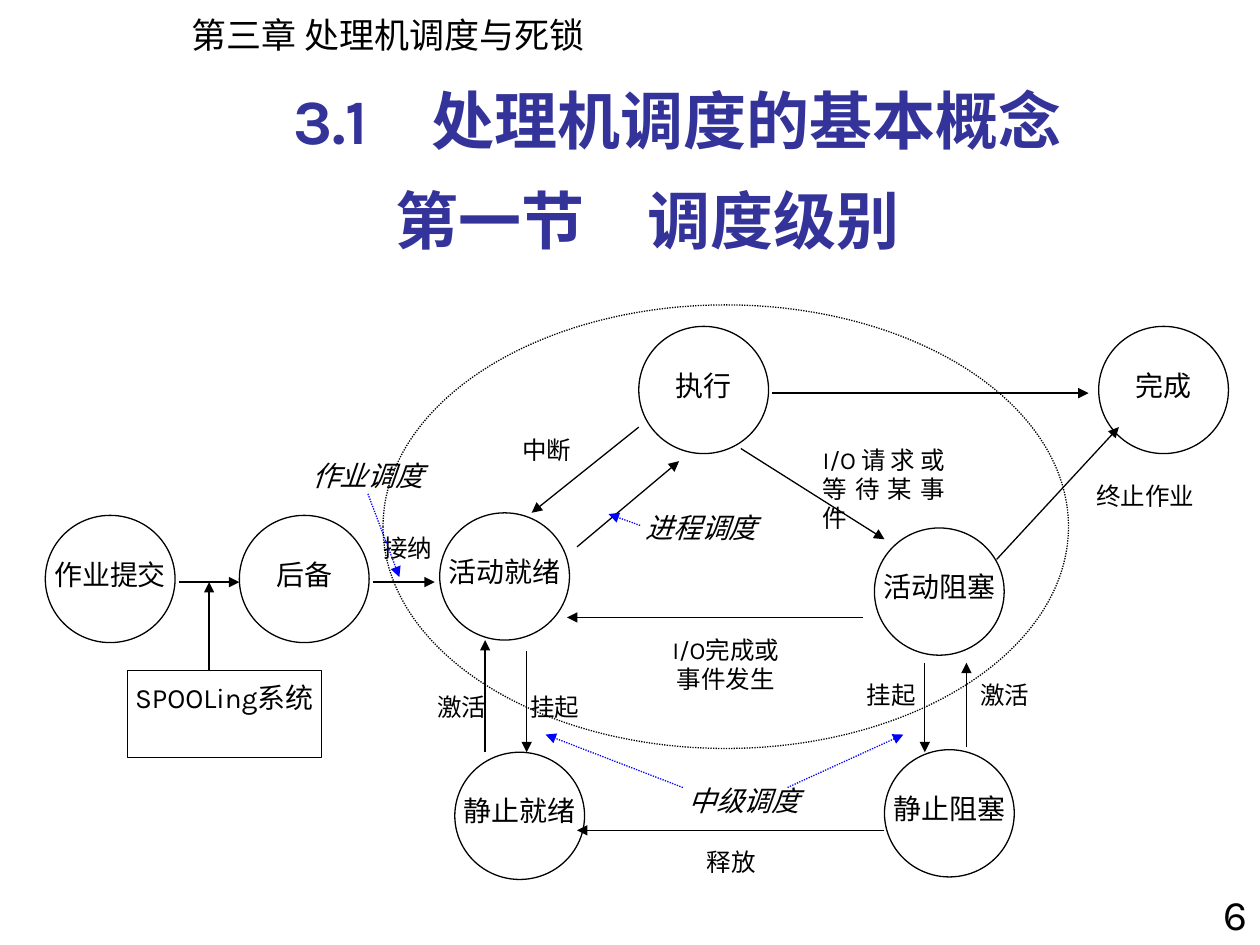
"""Build the processor scheduling levels slide with its process state diagram."""
import dataclasses

import lxml.etree
import pptx
import pptx.dml.color
import pptx.enum.dml
import pptx.enum.shapes
import pptx.enum.text
import pptx.oxml.ns
import pptx.util

Inches = pptx.util.Inches
ALIGN = pptx.enum.text.PP_ALIGN
ANCHOR = pptx.enum.text.MSO_ANCHOR
SHAPE = pptx.enum.shapes.MSO_SHAPE
DOTTED = pptx.enum.dml.MSO_LINE.ROUND_DOT


@dataclasses.dataclass(frozen=True)
class Theme:
    ink: str = "000000"
    title: str = "333399"
    paper: str = "FFFFFF"
    hint: str = "0000FF"
    latin: str = "Karla"
    state_font: str = "Times New Roman"
    asian: str = "Noto Sans CJK JP"
    title_size: int = 36
    page_size: int = 24
    chapter_size: int = 20
    state_size: int = 16
    label_size: int = 14
    line: float = 0.75


THEME = Theme()
STATE_W, STATE_H = 1.03, 1.01

STATES = [
    ("完成", 8.72, 2.59), ("后备", 1.9, 4.09), ("作业提交", 0.36, 4.09),
    ("活动就绪", 3.49, 4.07), ("执行", 5.07, 2.59), ("活动阻塞", 6.94, 4.19),
    ("静止就绪", 3.61, 5.97), ("静止阻塞", 7.02, 5.95),
]
TRANSITIONS = [
    (2.96, 4.62, 3.45, 4.62), (6.13, 3.12, 8.64, 3.12), (1.42, 4.62, 1.9, 4.62),
    (1.66, 5.32, 1.66, 4.62), (6.85, 4.9, 4.5, 4.9), (5.07, 3.39, 4.22, 4.07),
    (4.58, 4.34, 5.39, 3.66), (4.18, 5.17, 4.18, 5.97), (7.34, 5.26, 7.34, 5.97),
    (7.67, 5.93, 7.67, 5.26), (7.02, 6.59, 4.58, 6.59), (3.85, 5.97, 3.85, 5.08),
    (5.88, 3.56, 7.02, 4.28), (7.91, 4.44, 8.88, 3.39),
]
HINTS = [
    (2.92, 3.92, 3.17, 4.58), (5.42, 6.25, 4.33, 5.83),
    (6.25, 6.25, 7.17, 5.83), (5.08, 4.17, 4.83, 4.08),
]
LABELS = [
    ("终止作业", 8.48, 3.77, 1.22, 0.34), ("中断", 3.85, 3.4, 0.98, 0.34),
    ("I/O完成或\n事件发生", 5.15, 4.99, 1.22, 0.57), ("释放", 5.5, 6.67, 0.61, 0.34),
    ("挂起", 6.77, 5.35, 0.61, 0.34), ("激活", 7.67, 5.35, 0.61, 0.34),
    ("挂起", 4.1, 5.44, 0.61, 0.34), ("激活", 3.36, 5.44, 0.61, 0.34),
]
JUSTIFIED = [
    ("接纳", 3.04, 4.18, 0.65, 0.34), ("I/O请求或等待某事件", 6.53, 3.48, 0.97, 0.8),
]
LEVELS = [
    ("作业调度", 2.31, 3.59, 1.22, 0.37), ("进程调度", 5.08, 4, 0.97, 0.37),
    ("中级调度", 5.42, 6.17, 0.97, 0.37),
]
TITLES = [("3.1\u3000处理机调度的基本概念".replace("\u3000", "　"), 0.75, 0.6), ("第一节　调度级别", 0.51, 1.39)]


def rgb(value):
    return pptx.dml.color.RGBColor.from_string(value)


def write(sp, text, size, font=THEME.latin, color=THEME.ink, align=ALIGN.CENTER,
          bold=False, italic=False, wrap=True, anchor=ANCHOR.TOP, insets=(0, 0.05, 0, 0.05)):
    tf = sp.text_frame
    tf.word_wrap = wrap
    tf.vertical_anchor = anchor
    tf.margin_left, tf.margin_top, tf.margin_right, tf.margin_bottom = map(Inches, insets)
    for i, line in enumerate(text.split("\n")):
        p = tf.add_paragraph() if i else tf.paragraphs[0]
        p.alignment = align
        r = p.add_run()
        r.text = line
        r.font.size = pptx.util.Pt(size)
        r.font.bold, r.font.italic = bold, italic
        r.font.color.rgb = rgb(color)
        r.font.name = font
        ea = lxml.etree.SubElement(r.font._element, pptx.oxml.ns.qn("a:ea"))
        ea.set("typeface", THEME.asian)


def add_text(s, text, x, y, w, h, size, **style):
    sp = s.shapes.add_textbox(Inches(x), Inches(y), Inches(w), Inches(h))
    write(sp, text, size, **style)


def add_outline(s, kind, x, y, w, h, fill=None, dash=None):
    sp = s.shapes.add_shape(kind, Inches(x), Inches(y), Inches(w), Inches(h))
    sp.shadow.inherit = False
    if fill:
        sp.fill.solid()
        sp.fill.fore_color.rgb = rgb(fill)
    else:
        sp.fill.background()
    sp.line.color.rgb = rgb(THEME.ink)
    sp.line.width = pptx.util.Pt(THEME.line)
    if dash:
        sp.line.dash_style = dash
    return sp


def add_state(s, text, x, y):
    sp = add_outline(s, SHAPE.OVAL, x, y, STATE_W, STATE_H, THEME.paper)
    write(sp, text, THEME.state_size, font=THEME.state_font, wrap=False,
          anchor=ANCHOR.MIDDLE, insets=(0, 0, 0, 0.08))


def add_arrow(s, x1, y1, x2, y2, color=THEME.ink, dash=None):
    cx = s.shapes.add_connector(pptx.enum.shapes.MSO_CONNECTOR.STRAIGHT,
                                Inches(x1), Inches(y1), Inches(x2), Inches(y2))
    cx.line.color.rgb = rgb(color)
    cx.line.width = pptx.util.Pt(THEME.line)
    if dash:
        cx.line.dash_style = dash
    qn = pptx.oxml.ns.qn
    sp_pr = cx._element.spPr
    lxml.etree.SubElement(sp_pr.find(qn("a:ln")), qn("a:tailEnd")).set("type", "triangle")
    lxml.etree.SubElement(sp_pr, qn("a:effectLst"))


def main():
    prs = pptx.Presentation()
    prs.slide_width, prs.slide_height = Inches(10), Inches(7.5)
    s = prs.slides.add_slide(prs.slide_layouts[6])
    framed = (0.1, 0.05, 0.1, 0.05)

    add_text(s, "第三章 处理机调度与死锁", 1.42, 0.06, 3.38, 0.44, THEME.chapter_size,
             font=THEME.asian, align=ALIGN.LEFT, wrap=False, insets=framed)
    for text, x, y in TITLES:
        add_text(s, text, x, y, 9.25, 0.7, THEME.title_size, color=THEME.title,
                 bold=True, insets=framed)
    add_text(s, "6", 9.33, 7, 0.67, 0.56, THEME.page_size, align=ALIGN.RIGHT, insets=framed)

    for state in STATES:
        add_state(s, *state)
    spooling = add_outline(s, SHAPE.RECTANGLE, 1.01, 5.32, 1.54, 0.69)
    write(spooling, "SPOOLing系统", THEME.state_size, insets=(0, 0.08, 0, 0.08))
    for ends in TRANSITIONS:
        add_arrow(s, *ends)
    for label in LABELS:
        add_text(s, *label, THEME.label_size)
    for label in JUSTIFIED:
        add_text(s, *label, THEME.label_size, align=ALIGN.JUSTIFY)

    add_outline(s, SHAPE.OVAL, 3.04, 2.42, 5.44, 3.52, dash=DOTTED)
    for level in LEVELS:
        add_text(s, *level, THEME.state_size, italic=True)
    for ends in HINTS:
        add_arrow(s, *ends, color=THEME.hint, dash=DOTTED)
    prs.save("out.pptx")


if __name__ == "__main__":
    main()
